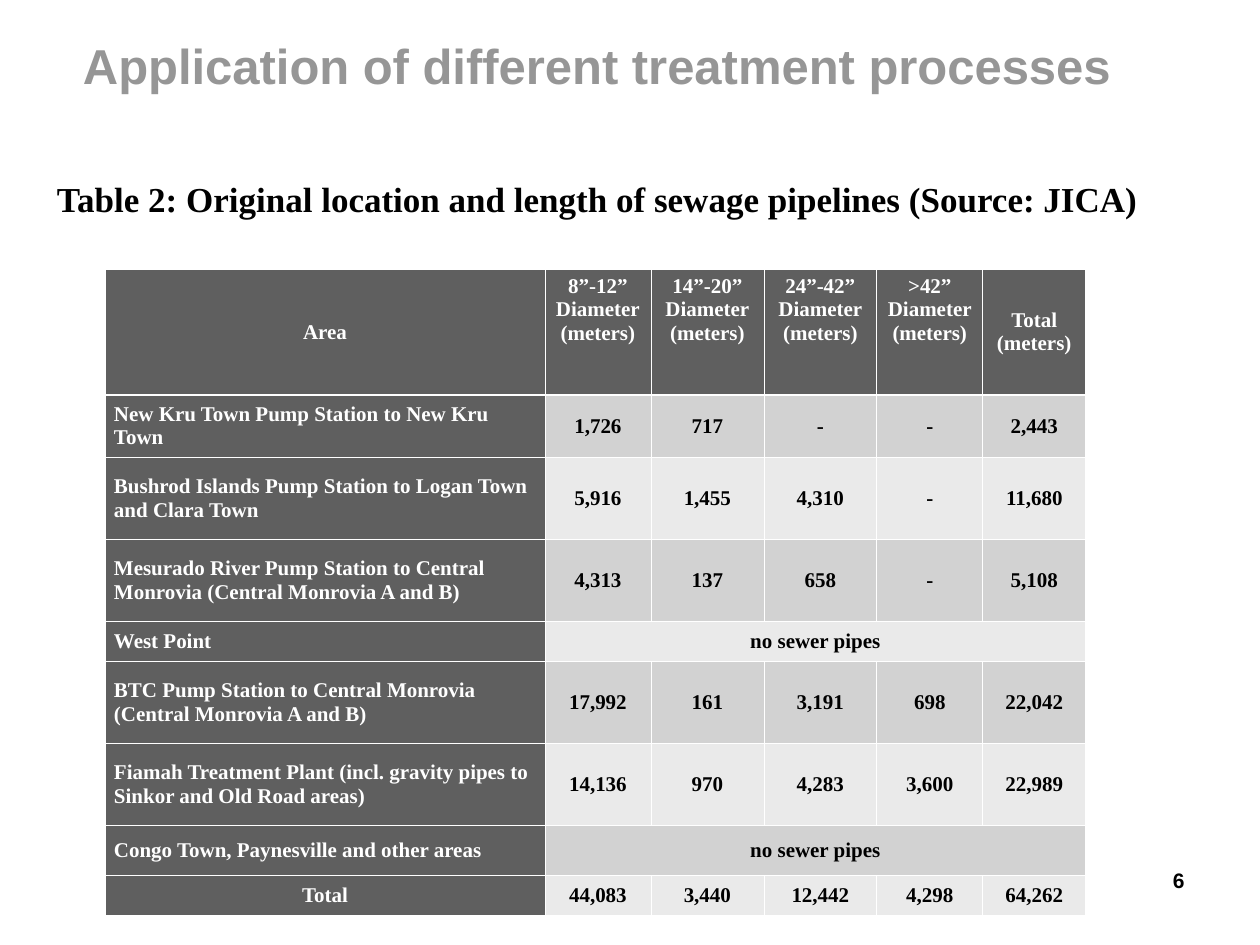
from lxml.etree import SubElement
from pptx import Presentation
from pptx.dml.color import RGBColor
from pptx.enum.text import MSO_ANCHOR, MSO_AUTO_SIZE, PP_ALIGN
from pptx.oxml.ns import qn
from pptx.util import Emu, Pt

SERIF, SANS = "Times New Roman", "Arial"
WHITE, BLACK, GRAY = "FFFFFF", "000000", "969696"
DARK, BANDS = "5F5F5F", ("D2D2D2", "EAEAEA")
THIN, THICK = 0.45, 1.47

COLUMNS = [440, 106, 113, 113, 106, 103]
HEIGHTS = [126, 61, 82, 82, 40, 82, 82, 50, 40]
NO_PIPES = "no sewer pipes"
SIZES = ["8”-12”", "14”-20”", "24”-42”", ">42”"]
ROWS = [
    ["Area", *[f"{size}\nDiameter\n(meters)" for size in SIZES], "Total\n(meters)"],
    ["New Kru Town Pump Station to New Kru Town", "1,726", "717", "-", "-", "2,443"],
    ["Bushrod Islands Pump Station to Logan Town and Clara Town",
     "5,916", "1,455", "4,310", "-", "11,680"],
    ["Mesurado River Pump Station to Central Monrovia (Central Monrovia A and B)",
     "4,313", "137", "658", "-", "5,108"],
    ["West Point", NO_PIPES],
    ["BTC Pump Station to Central Monrovia (Central Monrovia A and B)",
     "17,992", "161", "3,191", "698", "22,042"],
    ["Fiamah Treatment Plant (incl. gravity pipes to Sinkor and Old Road areas)",
     "14,136", "970", "4,283", "3,600", "22,989"],
    ["Congo Town, Paynesville and other areas", NO_PIPES],
    ["Total", "44,083", "3,440", "12,442", "4,298", "64,262"],
]


def px(n):
    return Emu(round(n * 914400 / 126))


def rgb(value):
    return RGBColor.from_string(value)


def assign(obj, values):
    for name, value in values.items():
        setattr(obj, name, value)


class Deck:
    def __init__(self):
        self.prs = Presentation()
        self.prs.slide_width, self.prs.slide_height = px(1260), px(945)
        self.s = self.prs.slides.add_slide(self.prs.slide_layouts[6])

    def style(self, tf, size, font, color, **paragraph):
        for p in tf.paragraphs:
            assign(p, paragraph)
            for r in p.runs:
                assign(r.font, {"size": Pt(size), "name": font, "bold": True})
                r.font.color.rgb = rgb(color)

    def text(self, box, text, size, font, color, inset=13, **paragraph):
        tf = self.s.shapes.add_textbox(*map(px, box)).text_frame
        assign(tf, {"text": text, "word_wrap": True, "margin_left": px(inset),
                    "auto_size": MSO_AUTO_SIZE.SHAPE_TO_FIT_TEXT})
        self.style(tf, size, font, color, **paragraph)

    def borders(self, cell, top, bottom):
        tcPr = cell._tc.get_or_add_tcPr()
        for side, width in zip("LRTB", (THIN, THIN, top, bottom)):
            ln = SubElement(tcPr, qn(f"a:ln{side}"), w=str(Pt(width)))
            SubElement(SubElement(ln, qn("a:solidFill")), qn("a:srgbClr"), val=WHITE)

    def cell(self, cell, text, row, col):
        label = row == 0 or col == 0
        top_anchored = row == 0 and 0 < col < len(COLUMNS) - 1
        left_aligned = col == 0 and text not in ("Area", "Total")
        self.borders(cell, THICK if row == 1 else THIN, THICK if row == 0 else THIN)
        cell.fill.solid()
        cell.fill.fore_color.rgb = rgb(DARK if label else BANDS[(row + 1) % 2])
        assign(cell, {
            "text": text,
            "margin_left": px(9), "margin_right": px(9),
            "margin_top": px(6), "margin_bottom": px(6),
            "vertical_anchor": MSO_ANCHOR.TOP if top_anchored else MSO_ANCHOR.MIDDLE,
        })
        self.style(cell.text_frame, 12, SERIF, WHITE if label else BLACK,
                   alignment=PP_ALIGN.LEFT if left_aligned else PP_ALIGN.CENTER)

    def table(self, left, top, widths, heights, rows):
        box = (left, top, sum(widths), sum(heights))
        table = self.s.shapes.add_table(len(rows), len(widths), *map(px, box)).table
        for column, width in zip(table.columns, widths):
            column.width = px(width)
        for i, (row, height, values) in enumerate(zip(table.rows, heights, rows)):
            row.height = px(height)
            if len(values) == 2:
                table.cell(i, 1).merge(table.cell(i, len(widths) - 1))
            padded = values + [""] * (len(widths) - len(values))
            for j, value in enumerate(padded):
                self.cell(table.cell(i, j), value, i, j)


def main():
    deck = Deck()
    deck.text((903, 861, 294, 66), "6", 12, SANS, BLACK, alignment=PP_ALIGN.RIGHT)
    deck.table(105, 269, COLUMNS, HEIGHTS, ROWS)
    deck.text((44, 165, 1135, 62),
              "Table 2: Original location and length of sewage pipelines (Source: JICA)",
              20, SERIF, BLACK, alignment=PP_ALIGN.JUSTIFY,
              line_spacing=1.15, space_after=Pt(7.3))
    deck.text((62, 29, 1252, 72), "Application of different treatment processes",
              28, SANS, GRAY, inset=21)
    deck.prs.save("out.pptx")


if __name__ == "__main__":
    main()
